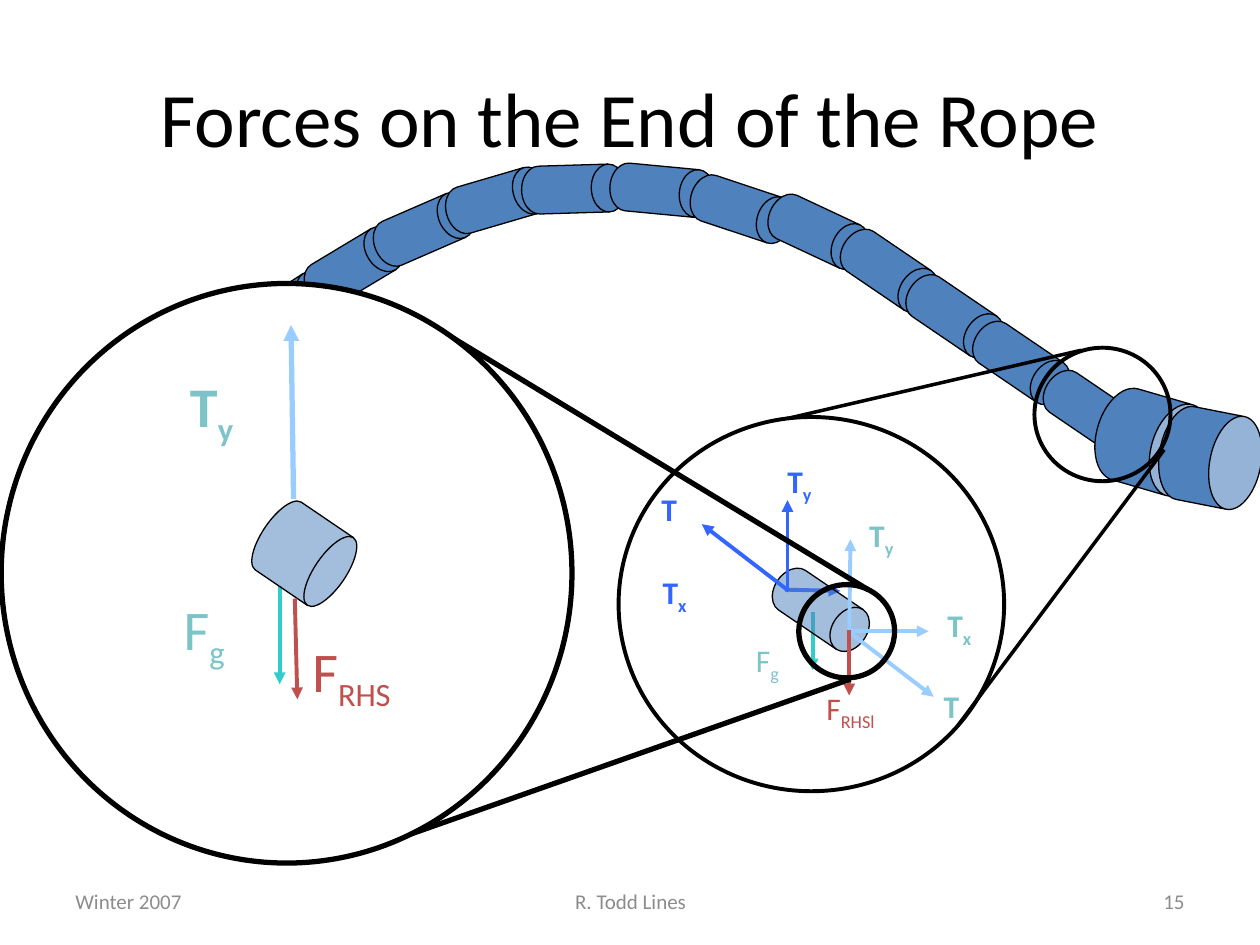
from dataclasses import dataclass

from lxml import etree
from pptx import Presentation
from pptx.dml.color import RGBColor
from pptx.enum.shapes import MSO_CONNECTOR, MSO_SHAPE
from pptx.enum.text import MSO_ANCHOR, PP_ALIGN
from pptx.oxml.ns import qn
from pptx.util import Inches, Pt

STRAIGHT = MSO_CONNECTOR.STRAIGHT
DRUM = MSO_SHAPE.FLOWCHART_DIRECT_ACCESS_STORAGE
CAN, ELLIPSE = MSO_SHAPE.CAN, MSO_SHAPE.OVAL
MIDDLE = MSO_ANCHOR.MIDDLE
LEFT, CENTER, RIGHT = PP_ALIGN.LEFT, PP_ALIGN.CENTER, PP_ALIGN.RIGHT
TITLE_ONLY = 5


@dataclass(frozen=True)
class Theme:
    font: str = "Calibri"
    black: str = "000000"
    white: str = "FFFFFF"
    rope: str = "4F81BD"
    left_pull: str = "3366FF"
    right_pull: str = "99CCFF"
    pull_label: str = "7DC4C9"
    gravity: str = "33CCCC"
    load: str = "C0504D"
    footer: str = "8C8C8C"
    title_size: int = 44
    large_size: int = 32
    label_size: int = 18
    footer_size: int = 12
    thin: float = 0.75
    sight: float = 2
    medium: float = 2.25
    thick: float = 3


THEME = Theme()


@dataclass(frozen=True)
class Box:
    """A region on a grid of 100 columns by 75 rows."""
    left: float
    top: float
    width: float
    height: float

    def inner(self, left, top, width, height):
        return Box(self.left + left, self.top + top, width, height)

    def point(self, x, y):
        return cells(self.left + x), cells(self.top + y)

    def lengths(self):
        return [cells(n) for n in (self.left, self.top, self.width, self.height)]


SLIDE = Box(0, 0, 100, 75)
SEGMENT = (8.3, 3.8)


def cells(count):
    return Inches(count / 10)


def color(code):
    return RGBColor.from_string(code)


def set_font(font, size, code, bold=False):
    font.name, font.size, font.bold = THEME.font, Pt(size), bold
    font.color.rgb = color(code)


def add_solid(page, kind, box, fill=None, weight=THEME.thin, rotation=0, opacity=None):
    solid = page.shapes.add_shape(kind, *box.lengths())
    solid.shadow.inherit = False
    solid.rotation = rotation
    solid.line.color.rgb, solid.line.width = color(THEME.black), Pt(weight)
    if fill:
        solid.fill.solid()
        solid.fill.fore_color.rgb = color(fill)
    else:
        solid.fill.background()
    if opacity:
        tint = solid.fill._xPr.find(qn("a:solidFill"))[0]
        etree.SubElement(tint, qn("a:alpha")).set("val", str(opacity * 1000))
    return solid


def add_line(page, box, start, end, code=THEME.black, weight=THEME.medium, arrow=False):
    line = page.shapes.add_connector(STRAIGHT, *box.point(*start), *box.point(*end))
    line.line.color.rgb, line.line.width = color(code), Pt(weight)
    if arrow:
        etree.SubElement(line.line._get_or_add_ln(), qn("a:tailEnd")).set("type", "triangle")
    etree.SubElement(line._element.spPr, qn("a:effectLst"))


def add_text(page, box, text, size, code, bold=False, align=LEFT):
    frame = page.shapes.add_textbox(*box.lengths()).text_frame
    frame.word_wrap = False
    para = frame.paragraphs[0]
    para.alignment = align
    set_font(para.font, size, code, bold)
    para.add_run().text = text
    return frame


def add_force_label(page, box, text, size, code, bold):
    """Write the first letter of the text full size and the rest as a subscript."""
    para = add_text(page, box, text[0], size, code, bold).paragraphs[0]
    if text[1:]:
        span = para.add_run()
        span.text = text[1:]
        span.font._element.set("baseline", "-25000")


def add_title(page, text):
    title = page.shapes.title
    title.text_frame.text = text
    set_font(title.text_frame.paragraphs[0].font, THEME.title_size, THEME.black)


def add_footer(page, box):
    parts = [("Winter 2007", 0, 23.3, LEFT), ("R. Todd Lines", 29.2, 31.7, CENTER),
             ("15", 66.7, 23.3, RIGHT)]
    for text, left, width, align in parts:
        frame = add_text(page, box.inner(left, 0, width, box.height), text,
                         THEME.footer_size, THEME.footer, align=align)
        frame.word_wrap, frame.vertical_anchor = True, MIDDLE


def add_rope(page, box):
    segments = [(0, 17.4, 148.4), (5.6, 13.5, 144.8), (10.8, 9.8, 147.4), (16.1, 6.2, 149),
                (21.7, 3.2, 156.5), (27.5, 0.9, 163.7), (33.6, 0, 178.3), (40.6, 0.1, 5.4),
                (46.9, 1.6, 18.4), (53, 3.4, 25.1), (58.6, 6.5, 34.2), (63.8, 10.1, 34.2),
                (69.1, 13.8, 34.2), (74.7, 17.7, 34.2)]
    for left, top, rotation in segments:
        drum = add_solid(page, DRUM, box.inner(left, top, *SEGMENT), THEME.rope,
                         rotation=rotation)
        if rotation > 90:
            drum._element.spPr.find(qn("a:xfrm")).set("flipH", "1")


def add_lens(page, box, weight, segment, behind, front, labels, size):
    """Draw a magnified rope segment with its force arrows and labels."""
    add_solid(page, ELLIPSE, box, THEME.white, weight)
    for start, end, code in behind:
        add_line(page, box, start, end, code, arrow=True)
    add_solid(page, DRUM, box.inner(*segment), THEME.rope, rotation=34.2, opacity=52)
    for start, end, code, *thickness in front:
        add_line(page, box, start, end, code, *thickness, arrow=True)
    for text, left, top, width, code in labels:
        add_force_label(page, box.inner(left, top, width, size / 5), text, size, code,
                        bold=text[0] == "T")


def add_segment_lens(page, box):
    behind = [((15.4, 15.5), (15.4, 20.1), THEME.gravity),
              ((13.2, 13.7), (17.6, 13.8), THEME.left_pull)]
    front = [((13.4, 13.6), (13.4, 6.6), THEME.left_pull),
             ((13.5, 13.8), (6.6, 8.5), THEME.left_pull),
             ((18.3, 17.2), (18.4, 9.7), THEME.right_pull),
             ((18.4, 17), (24.6, 17), THEME.right_pull),
             ((18.2, 17), (25, 22.2), THEME.right_pull),
             ((18.3, 16.9), (18.3, 22.1), THEME.load)]
    labels = [("T", 2.4, 5.3, 3.5, THEME.left_pull), ("Tx", 2.5, 11.9, 4.5, THEME.left_pull),
              ("Ty", 12.4, 3.1, 4.5, THEME.left_pull), ("T", 24.8, 20.9, 3.5, THEME.pull_label),
              ("Ty", 18.9, 7.4, 4.5, THEME.pull_label),
              ("Tx", 25.1, 14.5, 4.5, THEME.pull_label),
              ("Fg", 9.9, 17.3, 4.5, THEME.pull_label), ("FRHSl", 15.5, 21.1, 7.4, THEME.load)]
    add_lens(page, box, THEME.medium, (11.9, 13.4, *SEGMENT), behind, front, labels,
             THEME.label_size)
    add_solid(page, ELLIPSE, box.inner(14.3, 13.3, 7.6, 7.4), weight=THEME.thick)


def add_end_lens(page, box):
    behind = [((22.1, 24), (22.1, 31.8), THEME.gravity)]
    front = [((23.2, 17.1), (23, 3.3), THEME.right_pull, THEME.thick),
             ((23.3, 25), (23.5, 33), THEME.load)]
    labels = [("Ty", 14, 6.5, 5.4, THEME.pull_label), ("Fg", 13.5, 24.2, 6.4, THEME.pull_label),
              ("FRHS", 23.7, 27.5, 10.9, THEME.load)]
    add_lens(page, box, THEME.thick, (20.3, 18.2, 7.5, 6.5), behind, front, labels,
             THEME.large_size)


def add_handle(page, box):
    for place, rotation, lid in [((5.6, 3, 7.5, 9), 106.2, 0.61),
                                 ((10.2, 4.7, 7.5, 8.1), 101.1, 0.54)]:
        can = add_solid(page, CAN, box.inner(*place), THEME.rope, rotation=rotation)
        can.adjustments[0] = lid
    add_solid(page, ELLIPSE, box, weight=THEME.medium)


def main():
    deck = Presentation()
    deck.slide_width, deck.slide_height = cells(SLIDE.width), cells(SLIDE.height)
    page = deck.slides.add_slide(deck.slide_layouts[TITLE_ONLY])
    add_title(page, "Forces on the End of the Rope")
    add_footer(page, Box(5, 69.5, 90, 4))
    add_rope(page, Box(7.8, 13.1, 83, 21.5))
    add_line(page, SLIDE, (85.8, 27.8), (61.7, 33.4), weight=THEME.sight)
    add_segment_lens(page, Box(49.1, 33.1, 30.6, 29.7))
    add_line(page, SLIDE, (68.9, 46.8), (34.6, 26), weight=THEME.thick)
    add_line(page, SLIDE, (67.5, 53.9), (32.6, 66.2), weight=THEME.thick)
    add_end_lens(page, Box(0.1, 22.5, 45.3, 46))
    add_handle(page, Box(82.1, 27.6, 10.8, 10.6))
    add_line(page, SLIDE, (92.4, 35.7), (76, 57.6), weight=THEME.sight)
    deck.save("out.pptx")


if __name__ == "__main__":
    main()
